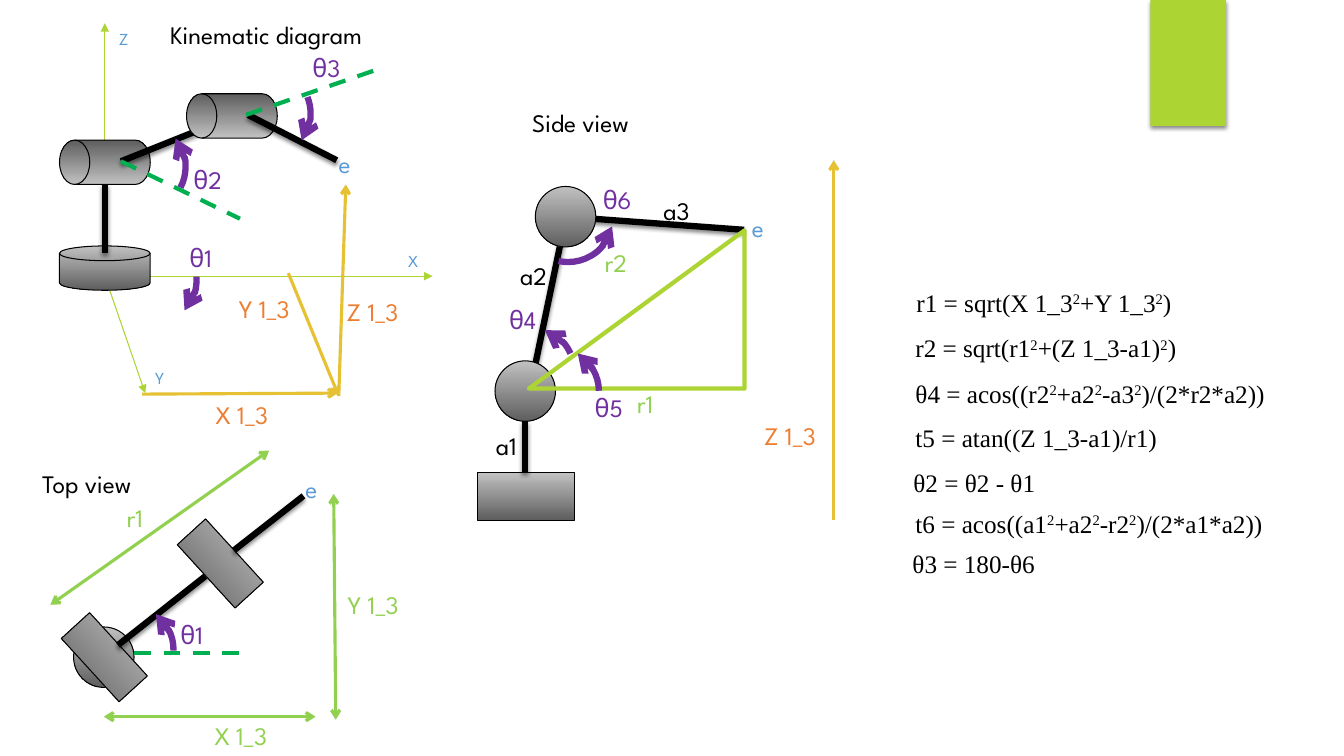
import pptx
import pptx.util
import pptx.dml.color
import pptx.enum.dml
import pptx.enum.shapes
import pptx.oxml
import pptx.oxml.ns
import pptx.oxml.xmlchemy

Inches, Pt = pptx.util.Inches, pptx.util.Pt
MSO = pptx.enum.shapes.MSO_SHAPE
C = {"black": "000000", "lime": "ACD433", "green": "92D050", "dash": "00B050",
     "gold": "E6C133", "orange": "ED7D31", "blue": "5B9BD5", "purple": "7030A0",
     "light": "C1C1C1", "dark": "5E5E5E"}
TEXT_FRAME = {"word_wrap": True}
FLUSH = {"word_wrap": False, "margin_left": 0, "margin_right": 0,
         "margin_top": 0, "margin_bottom": 0}
SHADOW = ('<a:outerShdw %s blurRad="38100" dist="25400" dir="5400000" rotWithShape="0">'
          '<a:srgbClr val="000000"><a:alpha val="45000"/></a:srgbClr></a:outerShdw>'
          % pptx.oxml.ns.nsdecls("a"))


# ---- Shared helpers; every position is relative to a box (left, top) ----
def rgb(name):
    return pptx.dml.color.RGBColor.from_string(C[name])


def apply(target, values):
    for name, value in values.items():
        setattr(target, name, value)


def set_line(shape, color, width, head=None, tail=None, dash=False):
    shape.line.color.rgb = rgb(color)
    shape.line.width = Pt(width)
    if dash:
        shape.line.dash_style = pptx.enum.dml.MSO_LINE.DASH
    ln = shape.line._get_or_add_ln()
    for tag, kind in (("a:headEnd", head), ("a:tailEnd", tail)):
        if kind:
            end = pptx.oxml.xmlchemy.OxmlElement(tag)
            end.set("type", kind)
            ln.append(end)


def line(s, box, start, end, color, width, shadow=False, **ends):
    (x1, y1), (x2, y2) = [(Inches(box[0] + x), Inches(box[1] + y)) for x, y in (start, end)]
    sp = s.shapes.add_connector(pptx.enum.shapes.MSO_CONNECTOR.STRAIGHT, x1, y1, x2, y2)
    set_line(sp, color, width, **ends)
    effects = pptx.oxml.xmlchemy.OxmlElement("a:effectLst")
    if shadow:
        effects.append(pptx.oxml.parse_xml(SHADOW))
    sp._element.spPr.append(effects)


def link(s, box, start, end):
    line(s, box, start, end, "black", 4.5, shadow=True)


def shape(s, box, kind, x, y, w, h, rot=0):
    sp = s.shapes.add_shape(kind, Inches(box[0] + x), Inches(box[1] + y), Inches(w), Inches(h))
    sp.rotation = rot
    sp.shadow.inherit = False
    return sp


def metal(s, box, kind, x, y, w, h, rot=0):
    sp = shape(s, box, kind, x, y, w, h, rot)
    sp.fill.gradient()
    sp.fill.gradient_angle = 270
    for stop, name, position in zip(sp.fill.gradient_stops, ("light", "dark"), (0, 1)):
        stop.color.rgb = rgb(name)
        stop.position = position
    set_line(sp, "black", 0.75)


def angle(s, box, x, y, start, end, rot=90, **ends):
    sp = shape(s, box, MSO.ARC, x, y, 0.89, 0.89, rot)
    sp.adjustments[0], sp.adjustments[1] = start, end
    sp.fill.background()
    set_line(sp, "purple", 4.5, **ends)


def write(p, text, color, size, font):
    r = p.add_run()
    r.text = text
    apply(r.font, {"name": font, "size": Pt(size)})
    r.font.color.rgb = rgb(color)
    return r


def text_box(s, box, x, y, w, h, frame):
    tb = s.shapes.add_textbox(Inches(box[0] + x), Inches(box[1] + y), Inches(w), Inches(h))
    apply(tb.text_frame, frame)
    return tb.text_frame.paragraphs[0]


def labels(s, box, items, size=18):
    for text, x, y, w, color in items:
        p = text_box(s, box, x, y, w, 0.4 if size == 18 else 0.3, TEXT_FRAME)
        write(p, text, color, size, "League Spartan")


# ---- Regions ----
def accent(s, box):
    sp = shape(s, box, MSO.RECTANGLE, 0, 0, 0.75, 1.25)
    sp.fill.solid()
    sp.fill.fore_color.rgb = rgb("lime")
    sp.line.fill.background()
    sp._element.spPr.find(pptx.oxml.ns.qn("a:effectLst")).append(pptx.oxml.parse_xml(SHADOW))


def kinematic_diagram(s, box):
    # Axes
    for end in ((0.54, 0.23), (3.79, 2.74), (0.94, 3.9)):
        line(s, box, (0.54, 2.74), end, "lime", 0.75, tail="triangle")
    labels(s, box, [("X", 3.45, 2.44, 0.34, "blue"), ("Y", 0.94, 3.6, 0.34, "blue"),
                    ("Z", 0.58, 0.24, 0.34, "blue")], size=12)
    # Base, joints and links
    metal(s, box, MSO.FLOWCHART_MAGNETIC_DISK, 0.09, 2.44, 0.9, 0.44)
    link(s, box, (0.54, 2.51), (0.54, 1.83))
    metal(s, box, MSO.FLOWCHART_DIRECT_ACCESS_STORAGE, 0.09, 1.39, 0.9, 0.44, 180)
    link(s, box, (0.7, 1.6), (1.8, 1.16))
    metal(s, box, MSO.FLOWCHART_DIRECT_ACCESS_STORAGE, 1.35, 0.93, 0.9, 0.44, 180)
    link(s, box, (1.96, 1.14), (2.84, 1.59))
    # Joint angles
    angle(s, box, 0.56, 2.33, 153.74, 181.97, rot=99.8, tail="arrow")
    angle(s, box, 0.45, 1.21, 138.65, 178.57, head="arrow")
    line(s, box, (0.7, 1.6), (1.88, 2.17), "dash", 3, dash=True)
    line(s, box, (1.94, 1.14), (3.24, 0.69), "dash", 3, dash=True)
    angle(s, box, 1.69, 0.68, 149.18, 184.06, tail="arrow")
    # Coordinates of the end point
    line(s, box, (2.86, 3.93), (2.93, 1.83), "gold", 2.25, tail="arrow")
    line(s, box, (2.86, 3.93), (2.36, 2.71), "gold", 2.25, head="arrow")
    line(s, box, (0.91, 3.91), (2.85, 3.9), "gold", 2.25, tail="arrow")
    labels(s, box, [("Kinematic diagram", 1.09, 0.14, 2.16, "black"),
                    ("e", 2.76, 1.42, 0.34, "blue"), ("θ1", 1.28, 2.36, 0.51, "purple"),
                    ("θ2", 1.32, 1.58, 0.51, "purple"), ("θ3", 2.5, 0.47, 0.51, "purple"),
                    ("X 1_3", 1.54, 3.91, 0.83, "orange"),
                    ("Y 1_3", 1.77, 2.86, 0.83, "orange"),
                    ("Z 1_3", 2.84, 2.89, 0.83, "orange")])


def top_view(s, box):
    # Base, joints and links
    metal(s, box, MSO.OVAL, 0.43, 1.82, 0.6, 0.6)
    metal(s, box, MSO.RECTANGLE, 0.31, 1.93, 0.85, 0.38, 47.6)
    link(s, box, (0.87, 2), (1.77, 1.29))
    metal(s, box, MSO.RECTANGLE, 1.46, 1, 0.85, 0.38, 47.6)
    link(s, box, (2.02, 1.06), (2.71, 0.52))
    # Angle and dimensions
    angle(s, box, 0.53, 1.6, 184.59, 0.68, rot=0, head="arrow")
    line(s, box, (1.03, 2.08), (2.13, 2.08), "dash", 3, dash=True)
    for start, end in (((3.03, 2.74), (3.01, 0.5)), ((0.73, 2.71), (2.83, 2.71)),
                       ((0.2, 1.6), (2.37, 0.07))):
        line(s, box, start, end, "green", 2.25, head="arrow", tail="arrow")
    labels(s, box, [("Top view", 0.02, 0.2, 1.15, "black"), ("e", 2.63, 0.25, 0.34, "blue"),
                    ("θ1", 1.39, 1.69, 0.51, "purple"), ("r1", 0.86, 0.53, 0.83, "green"),
                    ("X 1_3", 1.73, 2.7, 0.83, "green"),
                    ("Y 1_3", 3.05, 1.4, 0.83, "green")])


def side_view(s, box):
    # Base, joints and links
    metal(s, box, MSO.FLOWCHART_PROCESS, 0.04, 3.69, 0.96, 0.47)
    for start, end in (((0.51, 3.69), (0.51, 3.18)), ((0.91, 1.15), (2.68, 1.28)),
                       ((0.91, 1.17), (0.54, 2.95))):
        link(s, box, start, end)
    metal(s, box, MSO.OVAL, 0.21, 2.58, 0.6, 0.6)
    metal(s, box, MSO.OVAL, 0.61, 0.85, 0.6, 0.6)
    # Reach triangle and height
    triangle = shape(s, box, MSO.RIGHT_TRIANGLE, 0.83, 1, 1.57, 2.14, 270)
    triangle.fill.background()
    set_line(triangle, "lime", 3)
    line(s, box, (3.57, 4.16), (3.57, 0.59), "gold", 2.25, tail="arrow")
    # Angles
    for x, y, start, end in ((0.11, 2.25, 119.7, 146.98), (0.35, 2.44, 127.13, 161.34),
                             (0.49, 0.71, 169.14, 7.44)):
        angle(s, box, x, y, start, end, head="arrow")
    labels(s, box, [("Side view", 0.48, 0.02, 1.46, "black"), ("e", 2.66, 1.06, 0.34, "blue"),
                    ("Z 1_3", 2.78, 3.12, 0.83, "orange"),
                    ("r1", 1.52, 2.8, 0.64, "green"), ("r2", 1.2, 1.4, 0.64, "green"),
                    ("a1", 0.12, 3.22, 0.51, "black"), ("a2", 0.36, 1.53, 0.51, "black"),
                    ("a3", 1.78, 0.89, 0.51, "black"), ("θ4", 0.25, 1.97, 0.51, "purple"),
                    ("θ5", 1.1, 2.84, 0.51, "purple"), ("θ6", 1.18, 0.78, 0.51, "purple")])


def formulas(s, box):
    # ^2 marks a superscript
    for dx, dy, text in ((0.04, 0, "r1 = sqrt(X 1_3^2+Y 1_3^2)"),
                         (0.03, 0.45, "r2 = sqrt(r1^2+(Z 1_3-a1)^2)"),
                         (0.03, 0.9, "θ4 = acos((r2^2+a2^2-a3^2)/(2*r2*a2))"),
                         (0.03, 1.34, "t5 = atan((Z 1_3-a1)/r1)"),
                         (0.01, 1.79, "θ2 = θ2 - θ1"),
                         (0.03, 2.19, "t6 = acos((a1^2+a2^2-r2^2)/(2*a1*a2))"),
                         (0, 2.59, "θ3 = 180-θ6")):
        p = text_box(s, box, dx, dy, 4.06, 0.3, FLUSH)
        for i, part in enumerate(text.split("^2")):
            if i:
                r = write(p, "2", "black", 18, "Times New Roman")
                r._r.get_or_add_rPr().set("baseline", "30000")
            write(p, part, "black", 18, "Times New Roman")


def main():
    prs = pptx.Presentation()
    prs.slide_width, prs.slide_height = Inches(13.33), Inches(7.5)
    s = prs.slides.add_slide(prs.slide_layouts[6])
    accent(s, (11.41, 0))
    kinematic_diagram(s, (0.5, 0))
    top_view(s, (0.3, 4.4))
    side_view(s, (4.7, 1))
    formulas(s, (9.05, 2.85))
    prs.save("out.pptx")


if __name__ == "__main__":
    main()
